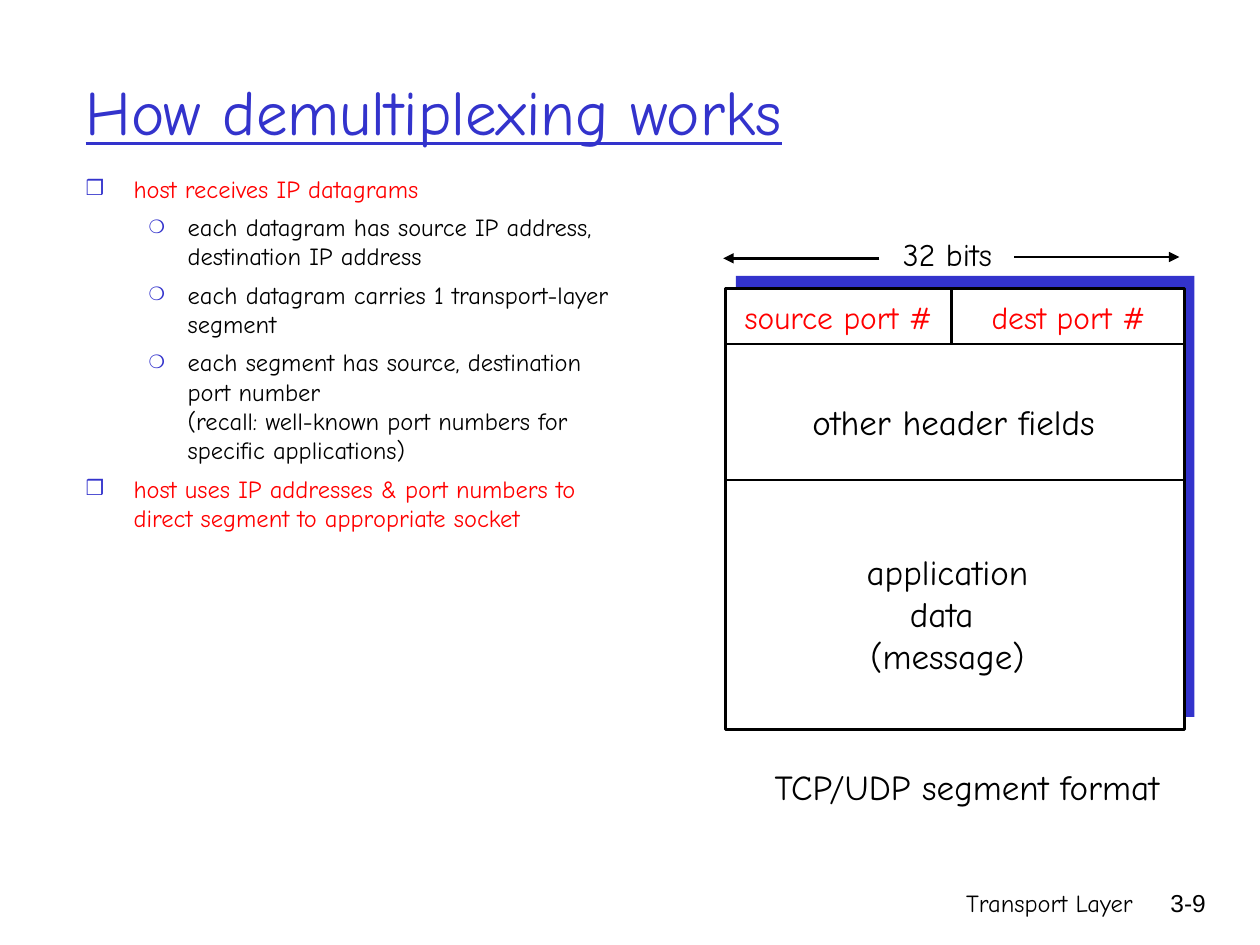
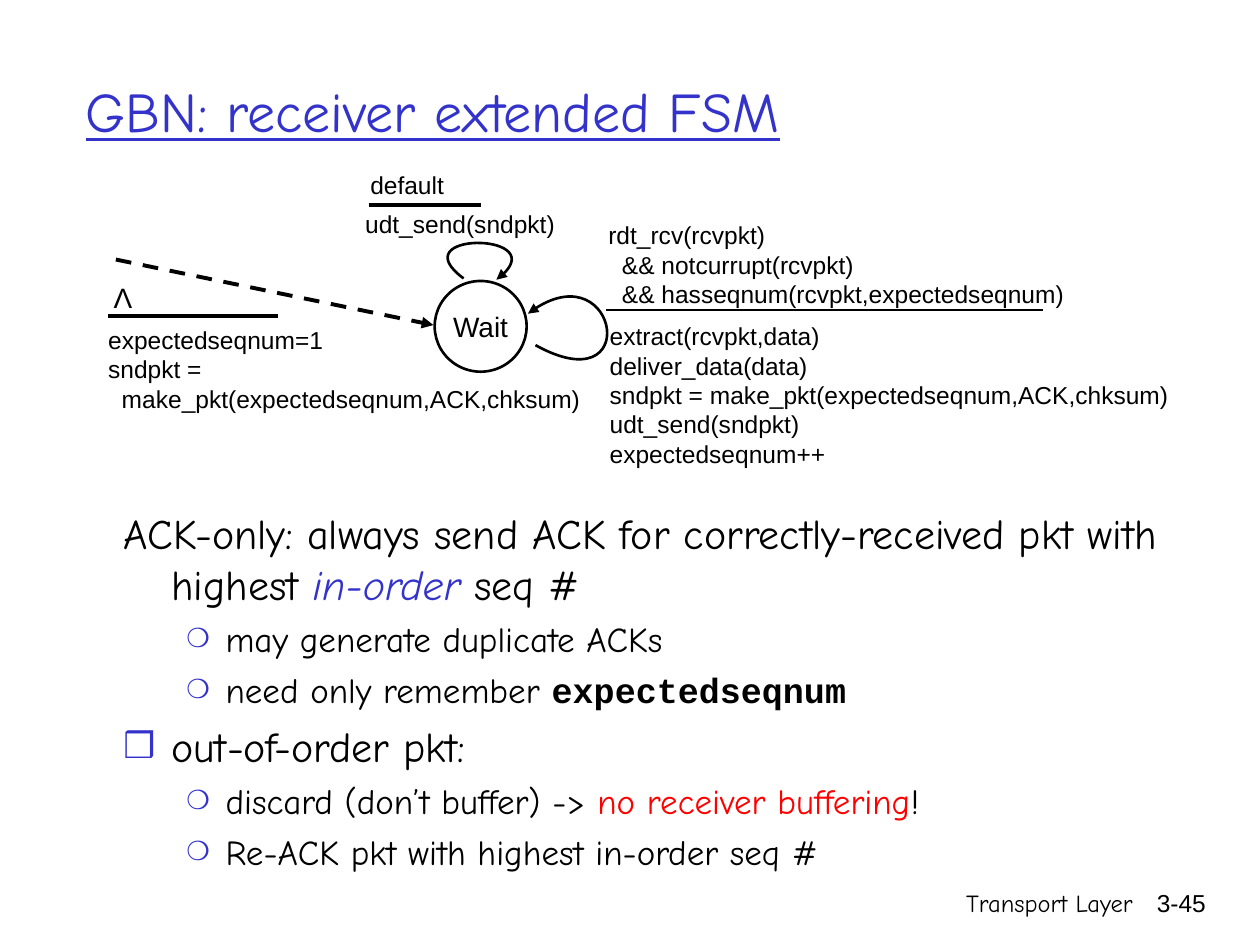
from lxml.etree import SubElement as Sub
from pptx import Presentation
from pptx.dml.color import RGBColor
from pptx.enum.dml import MSO_LINE
from pptx.enum.shapes import MSO_CONNECTOR as LINK, MSO_SHAPE as SHAPE
from pptx.enum.text import MSO_ANCHOR as ANCHOR, MSO_AUTO_SIZE as FIT, PP_ALIGN as ALIGN
from pptx.oxml.ns import qn
from pptx.util import Pt

PX = 9144
BLUE = RGBColor(0x33, 0x33, 0xCC)
RED = RGBColor(0xFF, 0x00, 0x00)
BLACK = RGBColor(0x00, 0x00, 0x00)
WHITE = RGBColor(0xFF, 0xFF, 0xFF)
HAND, SANS, CODE = "Comic Neue", "Arial", "Courier New"
LEFT, MID, RIGHT = ALIGN.LEFT, ALIGN.CENTER, ALIGN.RIGHT

BOX, CIRCLE = ("❒", 85), ("❍", 75)
INDENT = [(38, -38), (81, -31)]

DEMUX = {
    "title": ("How demultiplexing works", 36),
    "page": "3-9",
    "body": (58, 133, 450, 305),
    "sizes": (14, 14),
    "gaps": (5, 5),
    "items": [
        (0, BOX, [("host receives IP datagrams", "red")]),
        (1, CIRCLE, [("each datagram has source IP address, destination IP address", "")]),
        (1, CIRCLE, [("each datagram carries 1 transport-layer segment", "")]),
        (1, CIRCLE, [("each segment has source, destination port number \v"
                      "(recall: well-known port numbers for specific applications)", "")]),
        (0, BOX, [("host uses IP addresses & port numbers to direct segment "
                   "to appropriate socket", "red")]),
    ],
}
GBN = {
    "title": ("GBN: receiver extended FSM", 32),
    "page": "3-45",
    "body": (88, 398, 891, 312),
    "sizes": (24, 20),
    "gaps": (6, 5),
    "items": [
        (0, None, [("ACK-only: always send ACK for correctly-received pkt with highest ", ""),
                   ("in-order", "term"), (" seq #", "")]),
        (1, CIRCLE, [("may generate duplicate ACKs", "")]),
        (1, CIRCLE, [("need only remember ", ""), ("expectedseqnum", "code")]),
        (0, BOX, [("out-of-order pkt:", "")]),
        (1, CIRCLE, [("discard (don’t buffer) -> ", ""),
                     ("no receiver buffering", "red"), ("!", "")]),
        (1, CIRCLE, [("Re-ACK pkt with highest in-order seq #", "")]),
    ],
}

SEGMENT = (576, 229, 364, 350)
DEPTH = (8, -10)
FIELDS = [
    ("source port #", (576, 232, 179, 40), 18, RED),
    ("dest port #", (772, 232, 152, 40), 18, RED),
    ("32 bits", (702, 182, 100, 40), 18, BLACK),
    ("other header fields", (630, 313, 254, 44), 20, BLACK),
    ("application\ndata \n(message)", (673, 432, 158, 110), 20, BLACK),
    ("TCP/UDP segment format", (598, 603, 339, 44), 20, BLACK),
]
SPLITS = [273, 381]
PORTS = (755, 273, 755, 229)
SPANS = [(805, 204, 936, 204), (698, 205, 574, 205)]

STATE = (345, 223, 73, 72)
START = (92, 206, 344, 258)
RULES = [((293, 163, 382, 163), 2.25), ((481, 246, 828, 246), 1.5),
         ((86, 251, 221, 251), 2.25)]
LOOPS = [
    [(425, 274), (510, 321), (490, 195), (419, 249)],
    [(368, 221), (318, 184), (445, 184), (394, 222)],
]
STEPS = [
    ("default", (284, 130, 79, 27)),
    ("udt_send(sndpkt)", (280, 161, 177, 34)),
    ("rdt_rcv(rcvpkt)\n  && notcurrupt(rcvpkt)\n"
     "  && hasseqnum(rcvpkt,expectedseqnum)", (473, 170, 390, 62)),
    ("extract(rcvpkt,data)\ndeliver_data(data)\n"
     "sndpkt = make_pkt(expectedseqnum,ACK,chksum)\n"
     "udt_send(sndpkt)\nexpectedseqnum++", (474, 250, 472, 94)),
    ("expectedseqnum=1\nsndpkt =\n  make_pkt(expectedseqnum,ACK,chksum)",
     (76, 253, 398, 107)),
]


def emu(vals):
    return [v * PX for v in vals]


def place(shape, area):
    shape.left, shape.top, shape.width, shape.height = emu(area)


def style(font, name, size, color):
    font.name, font.size, font.color.rgb = name, Pt(size), color


def write(frame, text, name, size, color, align):
    frame.text = text
    for para in frame.paragraphs:
        para.alignment = align
        for run in para.runs:
            style(run.font, name, size, color)


def label(slide, text, area, name, size, color=BLACK, align=LEFT):
    frame = slide.shapes.add_textbox(*emu(area)).text_frame
    frame.word_wrap = align != MID
    frame.auto_size = FIT.SHAPE_TO_FIT_TEXT if align == MID else FIT.NONE
    write(frame, text, name, size, color, align)


def block(slide, kind, area, fill, edge=None):
    shape = slide.shapes.add_shape(kind, *emu(area))
    shape.shadow.inherit = False
    shape.fill.solid()
    shape.fill.fore_color.rgb = fill
    if edge:
        ink(shape, 1.5)
    else:
        shape.line.fill.background()
    return shape


def ink(shape, width, head=False):
    shape.line.color.rgb = BLACK
    shape.line.width = Pt(width)
    if head:
        Sub(shape.line._get_or_add_ln(), qn("a:tailEnd"), type="triangle")


def line(slide, ends, width=1.5, head=False, dash=False):
    link = slide.shapes.add_connector(LINK.STRAIGHT, *emu(ends))
    if dash:
        link.line.dash_style = MSO_LINE.DASH
    ink(link, width, head)
    Sub(link._element.spPr, qn("a:effectLst"))


def curve(slide, points):
    draft = slide.shapes.build_freeform(*points[0], scale=PX)
    draft.add_line_segments(points[1:], close=False)
    shape = draft.convert_to_shape()
    legs = list(shape._element.iter(qn("a:lnTo")))
    bend = Sub(legs[0].getparent(), qn("a:cubicBezTo"))
    for leg in legs:
        bend.append(leg[0])
        leg.getparent().remove(leg)
    shape.shadow.inherit = False
    shape.fill.background()
    ink(shape, 1.5, head=True)


def bullet(para, level, mark):
    props = para._p.get_or_add_pPr()
    left, hang = emu(INDENT[level])
    props.set("marL", str(left))
    props.set("indent", str(hang))
    if not mark:
        Sub(props, qn("a:buNone"))
        return
    sign, scale = mark
    Sub(Sub(props, qn("a:buClr")), qn("a:srgbClr"), val=str(BLUE))
    Sub(props, qn("a:buSzPct"), val=str(scale * 1000))
    Sub(props, qn("a:buChar"), char=sign)


def outline(frame, data):
    frame.auto_size = FIT.NONE
    for i, (level, mark, parts) in enumerate(data["items"]):
        para = frame.add_paragraph() if i else frame.paragraphs[0]
        para.text = parts[0][0]
        for text, _ in parts[1:]:
            para.add_run().text = text
        para.level = level
        bullet(para, level, mark)
        para.space_before = Pt(data["gaps"][level] if i else 0)
        size = data["sizes"][level]
        if len(parts) == 1:
            kinds = [parts[0][1]] * len(para.runs)
        else:
            kinds = [kind for _, kind in parts]
        for run, kind in zip(para.runs, kinds):
            color = {"red": RED, "term": BLUE}.get(kind, BLACK)
            style(run.font, CODE if kind == "code" else HAND, size, color)
            run.font.bold = kind == "code"
            run.font.italic = kind == "term"


def base(deck, data):
    slide = deck.slides.add_slide(deck.slide_layouts[1])
    title, body = slide.placeholders
    place(title, (58, 25, 850, 125))
    text, size = data["title"]
    frame = title.text_frame
    frame.auto_size = FIT.NONE
    frame.vertical_anchor = ANCHOR.MIDDLE
    write(frame, text, HAND, size, BLUE, LEFT)
    frame.paragraphs[0].runs[0].font.underline = True
    place(body, data["body"])
    outline(body.text_frame, data)
    label(slide, "Transport Layer", (592, 700, 317, 50), HAND, 14, align=RIGHT)
    label(slide, data["page"], (893, 700, 74, 50), SANS, 14, align=RIGHT)
    return slide


def demux(deck):
    slide = base(deck, DEMUX)
    x, y, w, h = SEGMENT
    block(slide, SHAPE.RECTANGLE, (x + DEPTH[0], y + DEPTH[1], w, h), BLUE)
    block(slide, SHAPE.RECTANGLE, SEGMENT, WHITE, BLACK)
    for split in SPLITS:
        line(slide, (x, split, x + w, split))
    line(slide, PORTS)
    for span in SPANS:
        line(slide, span, head=True)
    for text, area, size, color in FIELDS:
        label(slide, text, area, HAND, size, color, MID)


def gbn(deck):
    slide = base(deck, GBN)
    state = block(slide, SHAPE.OVAL, STATE, WHITE, BLACK)
    frame = state.text_frame
    frame.margin_left = frame.margin_right = 0
    frame.word_wrap = False
    frame.vertical_anchor = ANCHOR.MIDDLE
    write(frame, "Wait", SANS, 16, BLACK, MID)
    line(slide, START, 2.25, head=True, dash=True)
    for ends, width in RULES:
        line(slide, ends, width)
    for loop in LOOPS:
        curve(slide, loop)
    for text, area in STEPS:
        label(slide, text, area, SANS, 14)
    label(slide, "Λ", (80, 218, 35, 37), SANS, 16, align=MID)


def main():
    deck = Presentation()
    deck.slide_width, deck.slide_height = emu((1000, 750))
    demux(deck)
    gbn(deck)
    deck.save("out.pptx")


if __name__ == "__main__":
    main()
